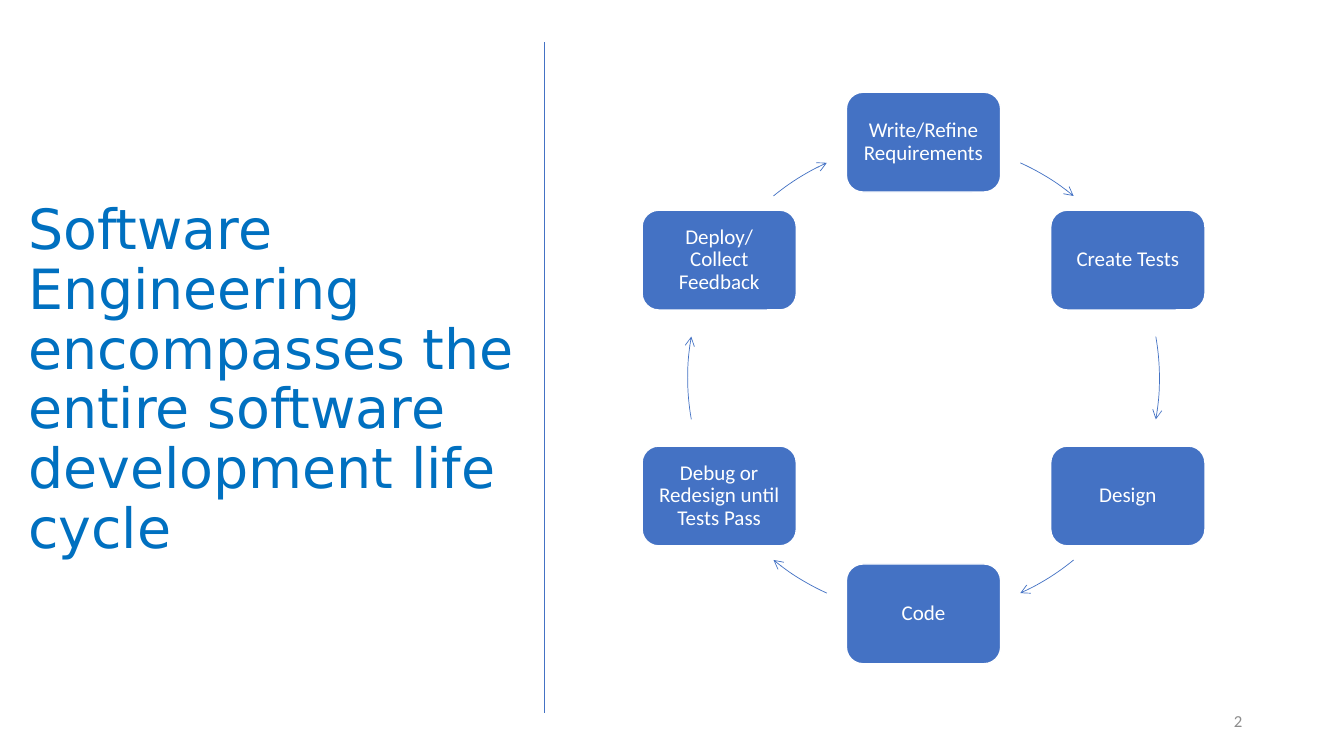
from math import cos, radians, sin

from lxml.etree import SubElement
from pptx import Presentation
from pptx.dml.color import RGBColor
from pptx.enum.shapes import MSO_CONNECTOR, MSO_SHAPE
from pptx.enum.text import MSO_ANCHOR as Anchor, PP_ALIGN as Align
from pptx.oxml.ns import qn
from pptx.util import Inches, Pt

COLORS = {
    "white": "FFFFFF",
    "blue": "4472C4",
    "title": "0070C0",
    "grey": "8C8C8C",
}
CENTER_X, CENTER_Y, RADIUS = 9.16, 3.75, 2.34
BOX_WIDTH, BOX_HEIGHT = 1.53, 0.99
STEPS = [
    "Write/Refine Requirements",
    "Create Tests",
    "Design",
    "Code",
    "Debug or Redesign until Tests Pass",
    "Deploy/Collect Feedback",
]
# Start and end of each arrow in degrees, clockwise from the right
ARROW_ANGLES = [
    (294.2, 309.5),
    (349.9, 10.1),
    (50.5, 65.8),
    (114.2, 129.5),
    (169.9, 190.1),
    (230.5, 245.8),
]


def rgb(name):
    return RGBColor.from_string(COLORS[name])


def write_text(shape, text, *, size, color, font="Calibri", align=Align.LEFT,
               anchor=Anchor.MIDDLE, spacing=1.0, margins=(0.1, 0.05)):
    """Fill a shape with one paragraph; margins are (sides, top and bottom)."""
    frame = shape.text_frame
    frame.word_wrap = True
    frame.vertical_anchor = anchor
    frame.margin_left = frame.margin_right = Inches(margins[0])
    frame.margin_top = frame.margin_bottom = Inches(margins[1])
    paragraph = frame.paragraphs[0]
    paragraph.alignment = align
    paragraph.line_spacing = spacing
    run = paragraph.add_run()
    run.text = text
    run.font.name = font
    run.font.size = Pt(size)
    run.font.color.rgb = rgb(color)


def add_label(slide, left, top, width, height, text, **text_format):
    box = slide.shapes.add_textbox(
        Inches(left), Inches(top), Inches(width), Inches(height))
    write_text(box, text, **text_format)


def set_line(shape, color, width):
    shape.line.color.rgb = rgb(color)
    shape.line.width = Pt(width)


def add_step(slide, text, angle):
    """Place a step box with its centre at an angle on the cycle."""
    left = CENTER_X + RADIUS * cos(radians(angle)) - BOX_WIDTH / 2
    top = CENTER_Y + RADIUS * sin(radians(angle)) - BOX_HEIGHT / 2
    box = slide.shapes.add_shape(
        MSO_SHAPE.ROUNDED_RECTANGLE, Inches(left), Inches(top),
        Inches(BOX_WIDTH), Inches(BOX_HEIGHT))
    box.shadow.inherit = False
    box.fill.solid()
    box.fill.fore_color.rgb = rgb("blue")
    set_line(box, "white", 1)
    write_text(box, text, size=15, color="white", align=Align.CENTER,
               spacing=0.9, margins=(0.11, 0.11))


def add_cycle_arrow(slide, start, end):
    arc = slide.shapes.add_shape(
        MSO_SHAPE.ARC, Inches(CENTER_X - RADIUS), Inches(CENTER_Y - RADIUS),
        Inches(2 * RADIUS), Inches(2 * RADIUS))
    # Angles are stored in 1/60000 degree, adjustments in 1/100000
    arc.adjustments[0] = start * 0.6
    arc.adjustments[1] = end * 0.6
    arc.shadow.inherit = False
    arc.fill.background()
    set_line(arc, "blue", 0.5)
    SubElement(arc.line._get_or_add_ln(), qn("a:tailEnd"), type="arrow")


def add_divider(slide, x, top, bottom):
    divider = slide.shapes.add_connector(
        MSO_CONNECTOR.STRAIGHT, Inches(x), Inches(top),
        Inches(x), Inches(bottom))
    set_line(divider, "blue", 0.5)
    SubElement(divider._element.spPr, qn("a:effectLst"))


def main():
    presentation = Presentation()
    presentation.slide_width = Inches(13.33)
    presentation.slide_height = Inches(7.5)
    slide = presentation.slides.add_slide(presentation.slide_layouts[6])

    add_label(slide, 9.42, 6.95, 3, 0.4, "2", size=12, color="grey",
              align=Align.RIGHT)
    add_label(slide, 0.18, 1.8, 5.07, 3.81,
              "Software Engineering encompasses the entire software "
              "development life cycle",
              size=39.6, color="title", font="DejaVu Sans",
              anchor=Anchor.BOTTOM, spacing=0.9)
    for index, (step, angles) in enumerate(zip(STEPS, ARROW_ANGLES)):
        add_step(slide, step, -90 + index * 360 / len(STEPS))
        add_cycle_arrow(slide, *angles)
    add_divider(slide, 5.4, 0.42, 7.07)

    presentation.save("out.pptx")


if __name__ == "__main__":
    main()
